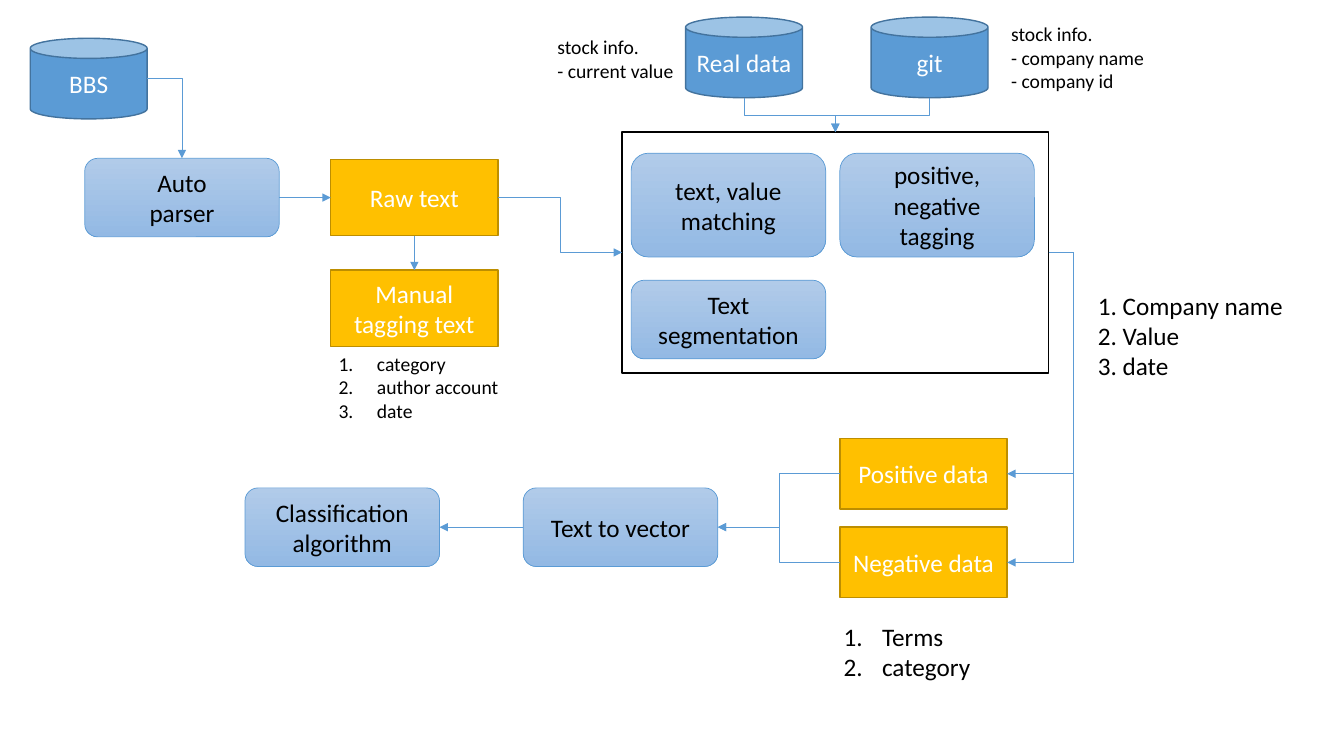
from lxml import etree
from pptx import Presentation
from pptx.dml.color import RGBColor
from pptx.enum.shapes import MSO_CONNECTOR, MSO_SHAPE
from pptx.enum.text import MSO_ANCHOR, MSO_AUTO_SIZE, PP_ALIGN
from pptx.oxml.ns import qn
from pptx.util import Inches, Pt

CAN, RECT, ROUND = MSO_SHAPE.CAN, MSO_SHAPE.RECTANGLE, MSO_SHAPE.ROUNDED_RECTANGLE
STRAIGHT, ELBOW = MSO_CONNECTOR.STRAIGHT, MSO_CONNECTOR.ELBOW
CENTER, LEFT, MIDDLE = PP_ALIGN.CENTER, PP_ALIGN.LEFT, MSO_ANCHOR.MIDDLE
NO_FIT = MSO_AUTO_SIZE.NONE

FONT = "Calibri"
COLORS = {"blue": "5B9BD5", "blue edge": "43739E", "pale": "B1CBE9", "pale end": "93B9E4",
          "gold": "FFC000", "gold edge": "BD8E00", "black": "000000", "white": "FFFFFF"}
CELL = Inches(0.1)  # one column or row of the slide grid
CAN_SIZE, STEP_SIZE, RAW_SIZE, DATA_SIZE = (11.6, 8), (19.3, 7.8), (16.6, 7.6), (16.6, 7)
TALL_STEP = (19.3, 10.3)

# Connection sites: number on a box, number on a can, share of width and height
SITES = {"top": (0, 1, 0.5, 0), "left": (1, 2, 0, 0.5),
         "bottom": (2, 3, 0.5, 1), "right": (3, 4, 1, 0.5)}


def color(name):
    return RGBColor.from_string(COLORS[name])


def place(area, at, size):
    """Grid lengths, counted from the area's corner, as left, top, width, height."""
    cells = (area[0] + at[0], area[1] + at[1], *size)
    return [round(cell * CELL) for cell in cells]


def write(frame, text, size, ink, align):
    frame.text = text
    for para in frame.paragraphs:
        para.alignment = align
        for span in para.runs:
            span.font.name, span.font.size = FONT, Pt(size)
            span.font.color.rgb = color(ink)


def block(page, kind, box, edge, weight, text="", ink="white"):
    shape = page.shapes.add_shape(kind, *box)
    shape.shadow.inherit = False
    shape.line.color.rgb, shape.line.width = color(edge), Pt(weight)
    shape.text_frame.word_wrap = True
    shape.text_frame.vertical_anchor = MIDDLE
    write(shape.text_frame, text, 18, ink, CENTER)
    return shape


def source(page, box, text):
    shape = block(page, CAN, box, "blue edge", 1, text)
    shape.fill.solid()
    shape.fill.fore_color.rgb = color("blue")
    return shape


def data(page, box, text):
    shape = block(page, RECT, box, "gold edge", 1, text)
    shape.fill.solid()
    shape.fill.fore_color.rgb = color("gold")
    return shape


def step(page, box, text):
    shape = block(page, ROUND, box, "blue", 0.5, text, "black")
    shape.fill.gradient()
    shape.fill.gradient_angle = 270
    for stop, name in zip(shape.fill.gradient_stops, ("pale", "pale end")):
        stop.color.rgb = color(name)
    return shape


def note(page, box, text, size, numbered=False):
    frame = page.shapes.add_textbox(*box).text_frame
    frame.word_wrap, frame.auto_size = False, NO_FIT
    write(frame, text, size, "black", LEFT)
    if numbered:
        for para in frame.paragraphs:
            props = para._p.get_or_add_pPr()
            props.set("marL", str(Inches(0.38)))
            props.set("indent", str(-Inches(0.38)))
            etree.SubElement(props, qn("a:buAutoNum"), type="arabicPeriod")


def site(shape, side):
    across, down = SITES[side][2:]
    return shape.left + round(shape.width * across), shape.top + round(shape.height * down)


def arrow(page, start, start_side, end, end_side, kind=ELBOW, bend=None, corner=False):
    """Join two shapes; an elbow that leaves downwards is a turned sideways one."""
    (x1, y1), (x2, y2) = site(start, start_side), site(end, end_side)
    turn = 0
    if kind == ELBOW and start_side == "bottom":
        middle_x, middle_y = (x1 + x2) // 2, (y1 + y2) // 2
        half_run, half_rise = (y2 - y1) // 2, abs(x2 - x1) // 2
        turn = 90 if x2 < x1 else 270
        if turn == 270:
            half_run = -half_run
        x1, x2 = middle_x - half_run, middle_x + half_run
        y1, y2 = middle_y - half_rise, middle_y + half_rise
    line = page.shapes.add_connector(kind, x1, y1, x2, y2)
    line.line.color.rgb, line.line.width = color("blue"), Pt(0.5)
    props = line._element.spPr
    if turn:
        props.find(qn("a:xfrm")).set("rot", str(turn * 60000))
    shape_form = props.find(qn("a:prstGeom"))
    if corner:
        shape_form.set("prst", "bentConnector2")
    if bend is not None:
        etree.SubElement(shape_form.find(qn("a:avLst")), qn("a:gd"),
                         name="adj1", fmla=f"val {round(bend * 100000)}")
    etree.SubElement(props.find(qn("a:ln")), qn("a:tailEnd"), type="triangle")
    etree.SubElement(props, qn("a:effectLst"))
    # Attach both ends
    links = line._element.find(".//" + qn("p:cNvCxnSpPr"))
    for tag, shape, side in (("a:stCxn", start, start_side), ("a:endCxn", end, end_side)):
        number = SITES[side][shape.auto_shape_type == CAN]
        etree.SubElement(links, qn(tag), id=str(shape.shape_id), idx=str(number))


def collection(page, area):
    """Source, parser and the raw and tagged text."""
    board = source(page, place(area, (0, 0), CAN_SIZE), "BBS")
    parser = step(page, place(area, (5.4, 11.9), STEP_SIZE), "Auto\nparser")
    raw, manual = [data(page, place(area, (29.8, top), RAW_SIZE), text)
                   for top, text in ((12, "Raw text"), (23, "Manual tagging text"))]
    note(page, place(area, (29.6, 30.6), (18, 8.1)),
         "category\nauthor account\ndate", 14, numbered=True)
    arrow(page, board, "right", parser, "top", corner=True)
    arrow(page, parser, "right", raw, "left", STRAIGHT)
    arrow(page, raw, "bottom", manual, "top", STRAIGHT)
    return raw


def matching(page, area):
    """Stock sources above the framed matching steps."""
    frame = block(page, RECT, place(area, (7.4, 11.4), (42.3, 23.9)), "black", 1)
    frame.fill.background()
    for at, size, text in (((8.3, 13.5), TALL_STEP, "text, value\nmatching"),
                           ((29, 13.5), TALL_STEP, "positive, negative\ntagging"),
                           ((8.3, 26.1), STEP_SIZE, "Text segmentation")):
        step(page, place(area, at, size), text)
    for left, text in ((13.7, "Real data"), (32.1, "git")):
        arrow(page, source(page, place(area, (left, 0), CAN_SIZE), text), "bottom", frame, "top")
    for at, size, text, points in (
            ((0, 1.3), (13.6, 5.7), "stock info.\n- current value", 14),
            ((45, 0), (15.3, 8.1), "stock info.\n- company name\n- company id", 14),
            ((53.6, 26.6), (20.6, 10.1), "1. Company name\n2. Value\n3. date", 18)):
        note(page, place(area, at, size), text, points)
    return frame


def classification(page, area, frame):
    """Tagged data, vectors and the classifier, from right to left."""
    algorithm, vector = [step(page, place(area, (left, 4.9), STEP_SIZE), text)
                         for left, text in ((0, "Classification algorithm"),
                                            (27.6, "Text to vector"))]
    for top, text in ((0, "Positive data"), (8.8, "Negative data")):
        tagged = data(page, place(area, (59, top), DATA_SIZE), text)
        arrow(page, frame, "right", tagged, "right", bend=-0.61)
        arrow(page, tagged, "left", vector, "right")
    arrow(page, vector, "left", algorithm, "right", STRAIGHT)
    note(page, place(area, (58.4, 17.6), (14.7, 7.1)), "Terms\ncategory", 18, numbered=True)


deck = Presentation()
deck.slide_width, deck.slide_height = Inches(13.33), Inches(7.5)
page = deck.slides.add_slide(deck.slide_layouts[6])
raw_text = collection(page, (3, 3.8))
match_frame = matching(page, (54.3, 1.7))
arrow(page, raw_text, "right", match_frame, "left")
classification(page, (24.3, 43.5), match_frame)
deck.save("out.pptx")
